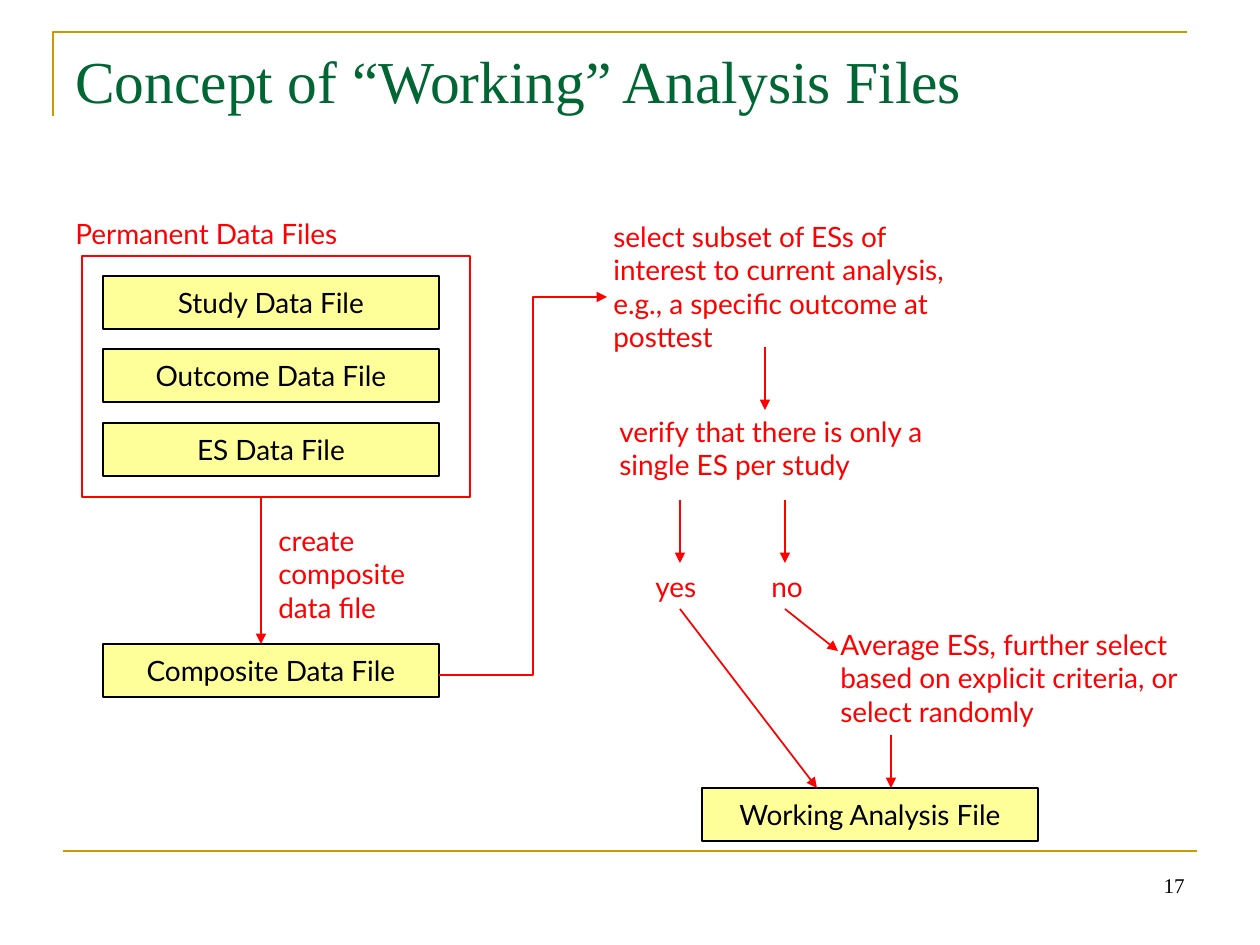
from typing import NamedTuple

import pptx
import pptx.dml.color
import pptx.enum.shapes
import pptx.enum.text
import pptx.oxml.ns
import pptx.util
from lxml import etree

EMU_PER_PX = 914400 / 126
RED, BLACK, YELLOW, GOLD, GREEN = "FF0000", "000000", "FFFF99", "CC9900", "006633"
SERIF, SANS = "Times New Roman", "Lato"
BOX_WIDTH, BOX_HEIGHT = 336, 53
ALIGN = pptx.enum.text.PP_ALIGN
ANCHOR = pptx.enum.text.MSO_ANCHOR


class FileBox(NamedTuple):
    label: str
    left: int
    top: int


class Note(NamedTuple):
    lines: str
    left: int
    top: int
    width: int
    height: int
    wrap: bool = False


class Stroke(NamedTuple):
    x1: int
    y1: int
    x2: int
    y2: int


def px(length: float) -> pptx.util.Emu:
    return pptx.util.Emu(round(length * EMU_PER_PX))


def rgb(value: str) -> pptx.dml.color.RGBColor:
    return pptx.dml.color.RGBColor.from_string(value)


def write(shape, text: str, *, size=16, font=SANS, color=RED, align=ALIGN.LEFT,
          anchor=ANCHOR.TOP, wrap=False, grow=False) -> None:
    frame = shape.text_frame
    frame.word_wrap = wrap
    frame.vertical_anchor = anchor
    if grow:
        frame.auto_size = pptx.enum.text.MSO_AUTO_SIZE.SHAPE_TO_FIT_TEXT
    frame.text = text
    for paragraph in frame.paragraphs:
        paragraph.alignment = align
        paragraph.font.size = pptx.util.Pt(size)
        paragraph.font.name = font
        paragraph.font.color.rgb = rgb(color)


def set_line(shape, color: str, width: float, arrow: bool = False) -> None:
    shape.line.color.rgb = rgb(color)
    shape.line.width = pptx.util.Pt(width)
    if arrow:
        line = shape.element.spPr.find(pptx.oxml.ns.qn("a:ln"))
        etree.SubElement(line, pptx.oxml.ns.qn("a:tailEnd"), type="triangle")


def draw_rectangle(slide, left: int, top: int, width: int, height: int, color: str):
    rectangle = slide.shapes.add_shape(
        pptx.enum.shapes.MSO_SHAPE.RECTANGLE, px(left), px(top), px(width), px(height))
    rectangle.shadow.inherit = False
    rectangle.fill.background()
    set_line(rectangle, color, 0.75)
    return rectangle


def draw_file_box(slide, box: FileBox) -> None:
    rectangle = draw_rectangle(slide, box.left, box.top, BOX_WIDTH, BOX_HEIGHT, BLACK)
    rectangle.fill.solid()
    rectangle.fill.fore_color.rgb = rgb(YELLOW)
    write(rectangle, box.label, color=BLACK, align=ALIGN.CENTER, anchor=ANCHOR.MIDDLE)


def draw_text(slide, left: int, top: int, width: int, height: int, text: str, **style) -> None:
    write(slide.shapes.add_textbox(px(left), px(top), px(width), px(height)), text, **style)


def draw_stroke(slide, stroke: Stroke, color=RED, width=1.0, arrow=True) -> None:
    connector = slide.shapes.add_connector(
        pptx.enum.shapes.MSO_CONNECTOR.STRAIGHT, *(px(value) for value in stroke))
    set_line(connector, color, width, arrow)
    etree.SubElement(connector.element.spPr, pptx.oxml.ns.qn("a:effectLst"))


def draw_path(slide, points: list[tuple[int, int]], color=RED, width=1.0, arrow=True) -> None:
    builder = slide.shapes.build_freeform(*points[0], scale=EMU_PER_PX)
    builder.add_line_segments(points[1:], close=False)
    outline = builder.convert_to_shape()
    outline.shadow.inherit = False
    outline.fill.background()
    set_line(outline, color, width, arrow)


FILE_BOXES = [
    FileBox(label, 103, 276 + row * 147 // 2)
    for row, label in enumerate(["Study Data File", "Outcome Data File", "ES Data File"])
] + [
    FileBox("Composite Data File", 103, 644),
    FileBox("Working Analysis File", 702, 788),
]

NOTES = [
    Note("Permanent Data Files", 63, 210, 306, 47),
    Note("create\ncomposite\ndata file", 266, 517, 161, 113),
    Note("select subset of ESs of\ninterest to current analysis,\n"
         "e.g., a specific outcome at\nposttest", 601, 213, 383, 147),
    Note("verify that there is only a\nsingle ES per study", 607, 408, 349, 81),
    Note("yes", 643, 563, 69, 47, wrap=True),
    Note("no", 759, 563, 69, 47, wrap=True),
    Note("Average ESs, further select\nbased on explicit criteria, or\nselect randomly",
         828, 621, 388, 113),
]

ARROWS = [
    Stroke(261, 497, 261, 644),
    Stroke(765, 347, 765, 410),
    Stroke(680, 500, 680, 563),
    Stroke(785, 500, 785, 563),
    Stroke(680, 609, 817, 788),
    Stroke(785, 609, 838, 651),
    Stroke(891, 735, 891, 788),
]


def main() -> None:
    presentation = pptx.Presentation()
    presentation.slide_width = px(1260)
    presentation.slide_height = px(945)
    slide = presentation.slides.add_slide(presentation.slide_layouts[6])

    draw_path(slide, [(53, 116), (53, 32), (1187, 32)], GOLD, 1.5, arrow=False)
    draw_stroke(slide, Stroke(63, 851, 1197, 851), GOLD, 1.5, arrow=False)
    draw_text(slide, 63, 38, 1134, 158, "Concept of “Working” Analysis Files",
              size=34, font=SERIF, color=GREEN, wrap=True)

    draw_rectangle(slide, 82, 256, 388, 241, RED)
    for box in FILE_BOXES:
        draw_file_box(slide, box)
    for note in NOTES:
        draw_text(slide, note.left, note.top, note.width, note.height, note.lines,
                  wrap=note.wrap, grow=True)
    for arrow in ARROWS:
        draw_stroke(slide, arrow)
    draw_path(slide, [(439, 675), (533, 675), (533, 297), (607, 297)])

    draw_text(slide, 903, 861, 294, 43, "17", size=12, font=SERIF, color=BLACK,
              align=ALIGN.RIGHT, anchor=ANCHOR.BOTTOM, wrap=True)
    presentation.save("out.pptx")


if __name__ == "__main__":
    main()
